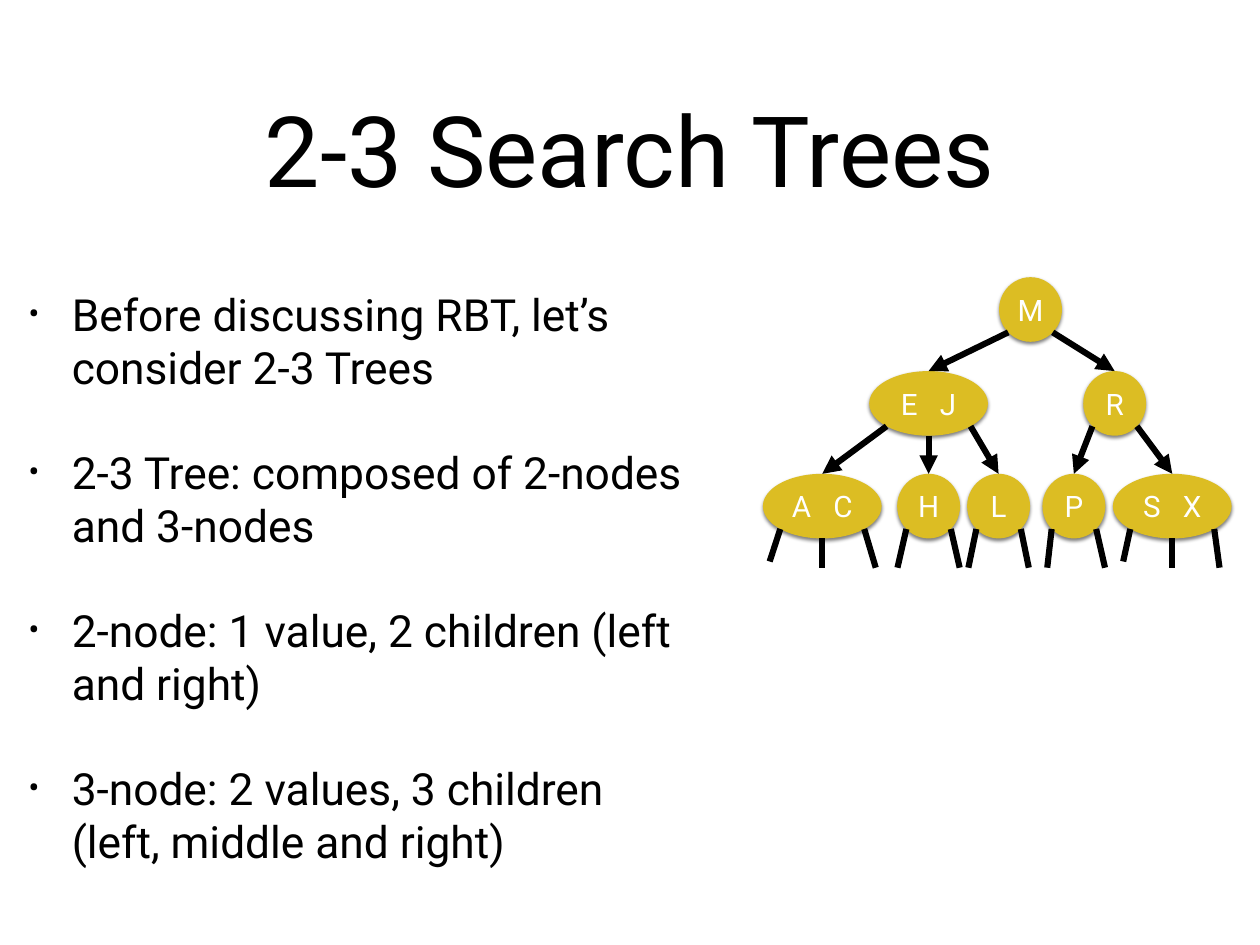
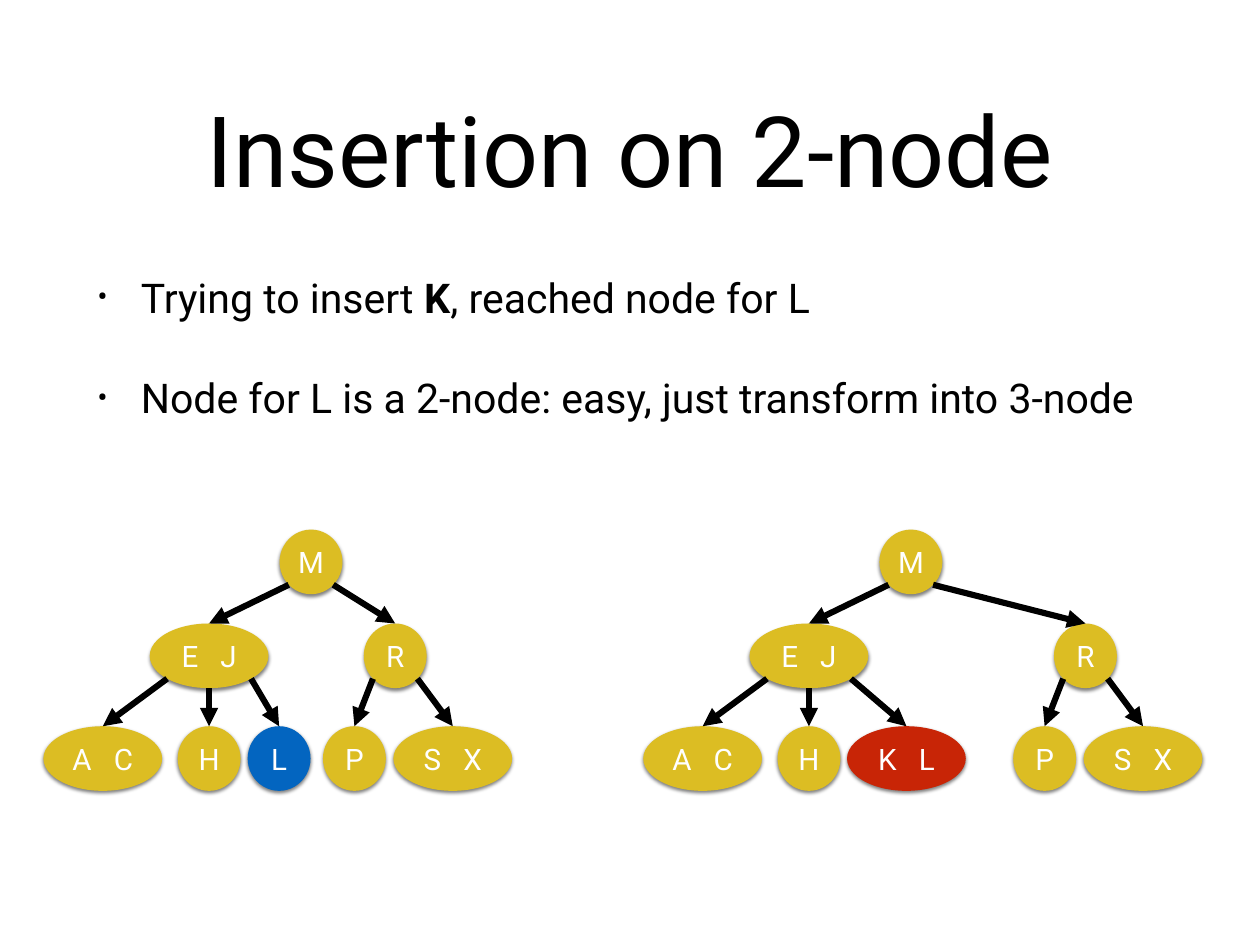
import math
from dataclasses import dataclass

from lxml import etree
from pptx import Presentation
from pptx import util as u
from pptx.dml.color import RGBColor
from pptx.enum import shapes, text
from pptx.oxml.ns import qn

PX = 9144  # 100 px to the inch
SLIDE_W, SLIDE_H = 1422, 1067

BLACK = RGBColor(0x00, 0x00, 0x00)
WHITE = RGBColor(0xFF, 0xFF, 0xFF)
GOLD = RGBColor(0xDC, 0xBD, 0x23)
BLUE = RGBColor(0x03, 0x65, 0xC0)
RED = RGBColor(0xC8, 0x25, 0x06)

NODE_H = 73
NODE_W = {1: 71, 2: 134}  # by number of values
LEVEL_TOPS = (0, 106, 222)
STUB_DROP = 106  # from the top of a leaf


@dataclass
class Node:
    """A tree node; x is its centre, measured from the leftmost leaf's centre."""
    values: str
    x: int
    children: tuple = ()
    stub_leans: tuple = ()
    fill: RGBColor = GOLD

    def exits(self):
        """Offsets from the centre where the links to the children start."""
        half_w, half_h = NODE_W[len(self.values)] / 2, NODE_H / 2
        diagonal = math.sqrt(0.5)
        left = (-half_w * diagonal, half_h * diagonal)
        right = (-left[0], left[1])
        return (left, right) if len(self.values) == 1 else (left, (0, half_h), right)


def search_tree(third_leaf, right_shift=0):
    left_branch = Node("EJ", 120, (
        Node("AC", 0, stub_leans=(-12, 0, 13)),
        Node("H", 120, stub_leans=(-10, 10)),
        third_leaf))
    right_branch = Node("R", 330 + right_shift, (
        Node("P", 284 + right_shift, stub_leans=(-5, 10)),
        Node("SX", 395 + right_shift, stub_leans=(-8, 0, 6))))
    return Node("M", 235, (left_branch, right_branch))


class Deck:
    FONT = "Roboto"
    INSET = 6
    INDENT = 49
    BULLET_GAP = u.Pt(42)

    def __init__(self):
        self.prs = Presentation()
        self.prs.slide_width, self.prs.slide_height = SLIDE_W * PX, SLIDE_H * PX
        self.slide = None

    def new_slide(self, title):
        self.slide = self.prs.slides.add_slide(self.prs.slide_layouts[6])
        frame = self.text_box(104, 49, 1214, 236)
        heading = frame.paragraphs[0]
        heading.alignment = text.PP_ALIGN.CENTER
        self.run(heading, title, 80)

    def text_box(self, left, top, width, height):
        box = self.slide.shapes.add_textbox(*(n * PX for n in (left, top, width, height)))
        self.set_frame(box.text_frame)
        box.text_frame.word_wrap = True
        return box.text_frame

    def set_frame(self, frame):
        frame.margin_left = frame.margin_right = self.INSET * PX
        frame.margin_top = frame.margin_bottom = self.INSET * PX
        frame.vertical_anchor = text.MSO_ANCHOR.MIDDLE

    def run(self, paragraph, words, size, color=BLACK, bold=False):
        run = paragraph.add_run()
        run.text = words
        run.font.name = self.FONT
        run.font.size = u.Pt(size)
        run.font.bold = bold
        run.font.color.rgb = color
        return run

    def bullets(self, left, top, width, height, size, items):
        """Each item is a list of (words, bold) runs."""
        frame = self.text_box(left, top, width, height)
        for index, item in enumerate(items):
            paragraph = frame.add_paragraph() if index else frame.paragraphs[0]
            props = paragraph._p.get_or_add_pPr()
            props.set("marL", str(self.INDENT * PX))
            props.set("indent", str(-self.INDENT * PX))
            etree.SubElement(props, qn("a:buSzPct"), val="75000")
            etree.SubElement(props, qn("a:buFont"), typeface=self.FONT)
            etree.SubElement(props, qn("a:buChar"), char="•")
            if index:
                paragraph.space_before = self.BULLET_GAP
            for words, bold in item:
                self.run(paragraph, words, size, bold=bold)

    def link(self, start, end, arrow=True):
        line = self.slide.shapes.add_connector(
            shapes.MSO_CONNECTOR.STRAIGHT, *(round(n * PX) for n in (*start, *end)))
        line.line.color.rgb = BLACK
        line.line.width = u.Pt(5)
        if arrow:
            etree.SubElement(line.line._get_or_add_ln(), qn("a:tailEnd"), type="triangle")
        etree.SubElement(line._element.spPr, qn("a:effectLst"))

    def ellipse(self, center_x, top, values, fill):
        width = NODE_W[len(values)]
        oval = self.slide.shapes.add_shape(
            shapes.MSO_SHAPE.OVAL, round((center_x - width / 2) * PX), top * PX,
            width * PX, NODE_H * PX)
        oval.fill.solid()
        oval.fill.fore_color.rgb = fill
        oval.line.fill.background()
        self.drop_shadow(oval)
        self.set_frame(oval.text_frame)
        oval.text_frame.word_wrap = False
        label = oval.text_frame.paragraphs[0]
        label.alignment = text.PP_ALIGN.CENTER
        for index, value in enumerate(values):
            if index:
                gap = self.run(label, " ", 24, WHITE)
                gap.font._element.set("spc", "1200")
            self.run(label, value, 24, WHITE)

    def drop_shadow(self, shape):
        shape.shadow.inherit = False
        effects = shape._element.spPr.find(qn("a:effectLst"))
        shadow = etree.SubElement(
            effects, qn("a:outerShdw"), blurRad=str(u.Pt(3)), dist=str(u.Pt(2)),
            dir="5400000", rotWithShape="0")
        color = etree.SubElement(shadow, qn("a:srgbClr"), val=str(BLACK))
        etree.SubElement(color, qn("a:alpha"), val="50000")

    def tree(self, node, left, top, stubs=False, level=0):
        """Draw a node, everything below it, and the links between them."""
        center_x, node_top = left + node.x, top + LEVEL_TOPS[level]
        self.ellipse(center_x, node_top, node.values, node.fill)
        starts = [(center_x + dx, node_top + NODE_H / 2 + dy) for dx, dy in node.exits()]
        for start, child in zip(starts, node.children):
            self.tree(child, left, top, stubs, level + 1)
            self.link(start, (left + child.x, top + LEVEL_TOPS[level + 1]))
        if stubs:
            for index, (start, lean) in enumerate(zip(starts, node.stub_leans)):
                shorter = 7 if len(node.values) == 2 and index == 0 else 0
                end = (start[0] + lean, node_top + STUB_DROP - shorter)
                self.link(start, end, arrow=False)


def main():
    deck = Deck()

    deck.new_slide("2-3 Search Trees")
    definitions = (
        "Before discussing RBT, let’s consider 2-3 Trees",
        "2-3 Tree: composed of 2-nodes and 3-nodes",
        "2-node: 1 value, 2 children (left and right)",
        "3-node: 2 values, 3 children (left, middle and right)")
    deck.bullets(26, 285, 761, 734, 36, [[(words, False)] for words in definitions])
    deck.tree(search_tree(Node("L", 199, stub_leans=(-9, 9))), 928, 313, stubs=True)

    deck.new_slide("Insertion on 2-node")
    deck.bullets(104, 285, 1214, 214, 33.3, [
        [("Trying to insert ", False), ("K", True), (", reached node for L", False)],
        [("Node for L is a 2-node: easy, just transform into 3-node", False)]])
    deck.tree(search_tree(Node("L", 199, fill=BLUE)), 116, 598)
    deck.tree(search_tree(Node("KL", 230, fill=RED), right_shift=102), 793, 598)

    deck.prs.save("out.pptx")


if __name__ == "__main__":
    main()
